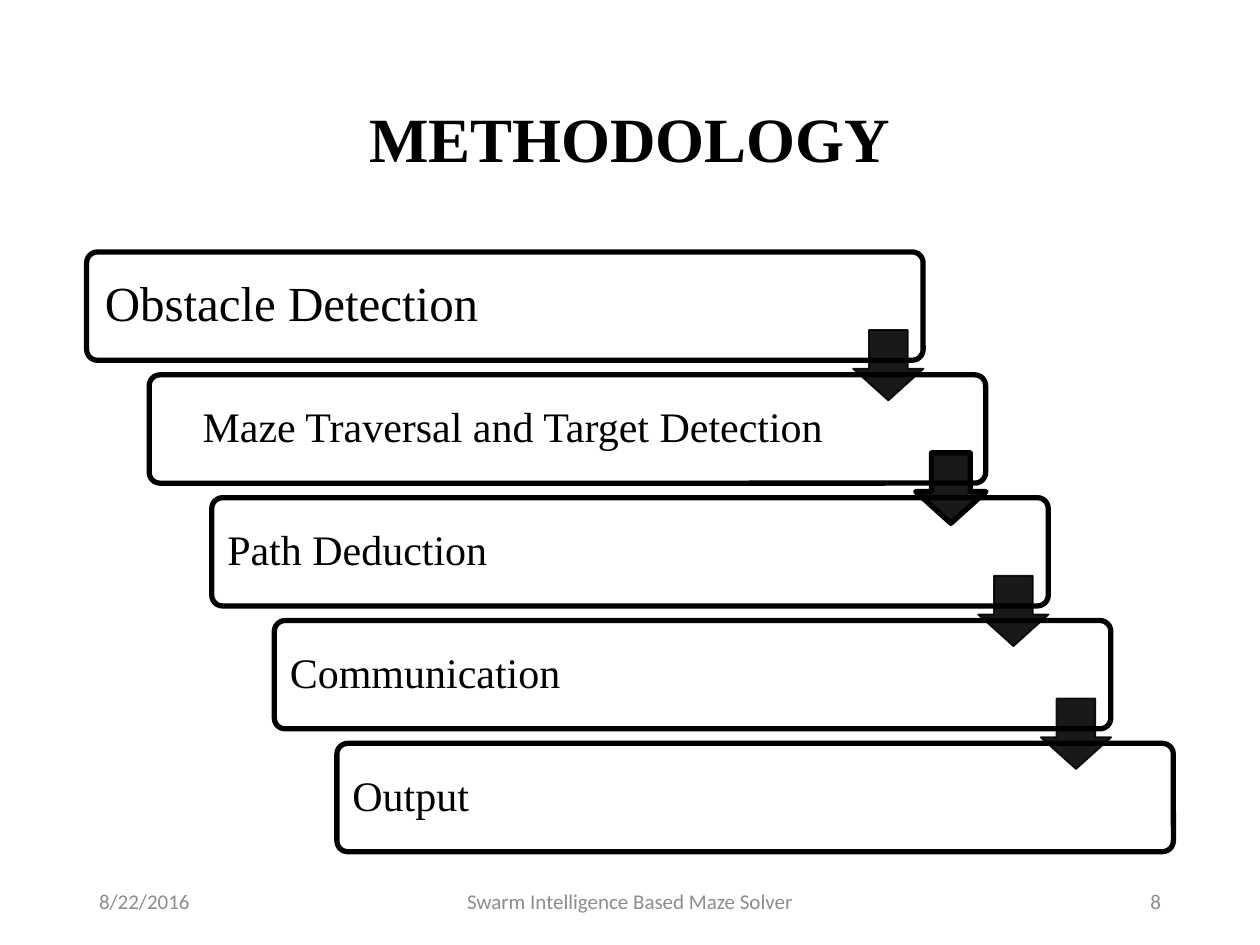
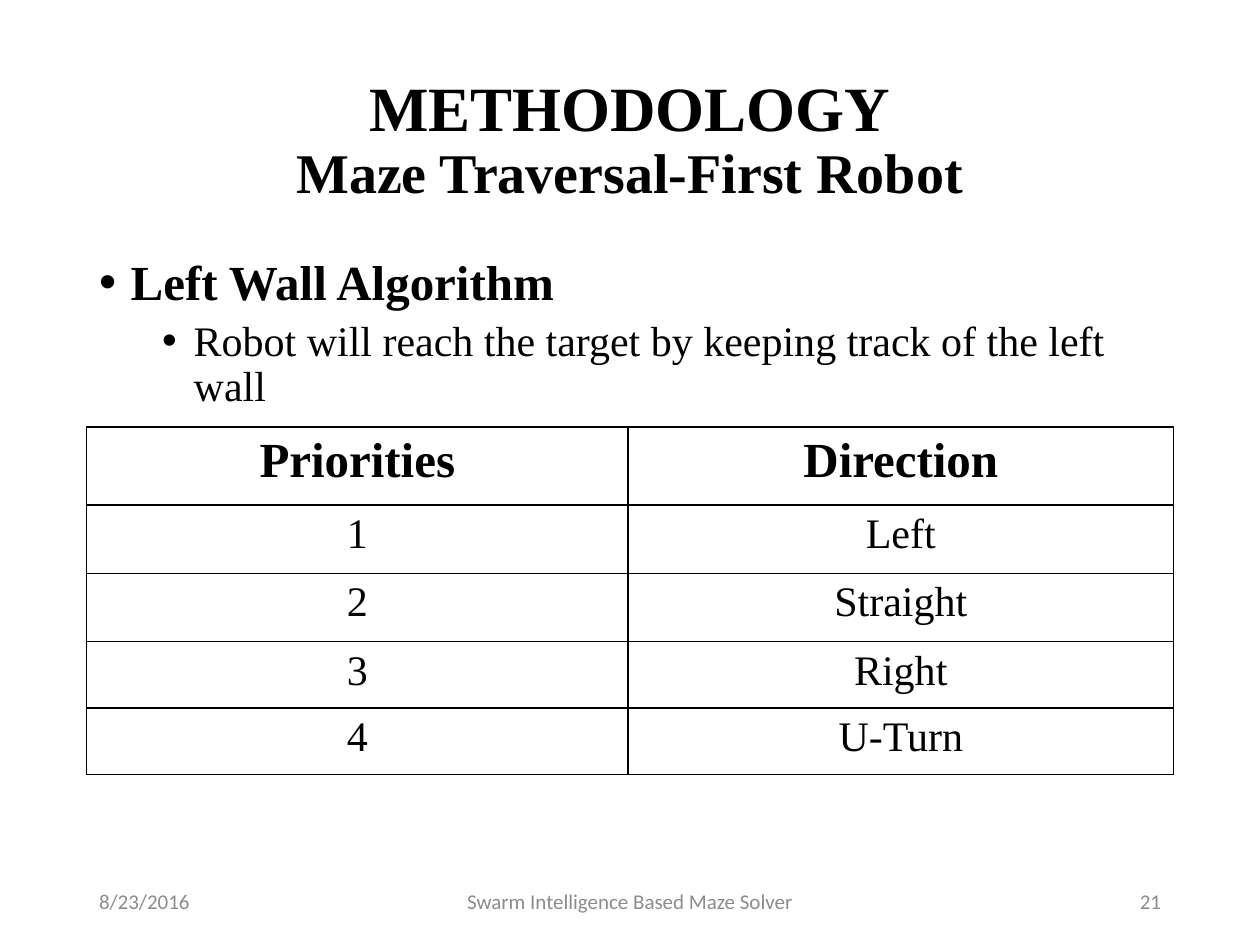
from dataclasses import dataclass

from lxml.etree import SubElement
from pptx import Presentation
from pptx.dml.color import RGBColor
from pptx.enum.shapes import MSO_SHAPE as Preset
from pptx.enum.text import MSO_ANCHOR as Anchor, MSO_AUTO_SIZE as AutoSize, PP_ALIGN as Align
from pptx.oxml.ns import qn
from pptx.util import Pt


@dataclass(frozen=True)
class Theme:
    ink: RGBColor = RGBColor(0x00, 0x00, 0x00)
    paper: RGBColor = RGBColor(0xFF, 0xFF, 0xFF)
    muted: RGBColor = RGBColor(0x8C, 0x8C, 0x8C)
    serif: str = "Times New Roman"
    sans: str = "Calibri"
    title: int = 36
    subtitle: int = 32
    large: int = 28
    normal: int = 24
    small: int = 12
    left: float = 49.5
    width: float = 621
    top: float = 144


THEME = Theme()
TITLE_AND_CONTENT, TITLE_ONLY = 1, 5
FOOTER = "Swarm Intelligence Based Maze Solver"


def apply(target, **values):
    for name, value in values.items():
        setattr(target, name, value)


def place(shape, left, top, width, height):
    apply(shape, left=Pt(left), top=Pt(top), width=Pt(width), height=Pt(height))


def set_alpha(fill_parent, percent):
    color = fill_parent.find(qn("a:solidFill"))[0]
    SubElement(color, qn("a:alpha"), val=str(percent * 1000))


class SlideBuilder:
    def __init__(self, theme):
        self.theme = theme
        self.deck = Presentation()
        apply(self.deck, slide_width=Pt(720), slide_height=Pt(540))
        self.page = None

    def new_page(self, layout, date, number):
        self.page = self.deck.slides.add_slide(self.deck.slide_layouts[layout])
        self.footer(49.5, 162, date, Align.LEFT)
        self.footer(238.5, 243, FOOTER, Align.CENTER)
        self.footer(508.5, 162, number, Align.RIGHT)

    def add_text(self, para, text, size, bold=False, font=None, color=None):
        span = para.add_run()
        span.text = text
        apply(span.font, size=Pt(size), bold=bold, name=font or self.theme.serif)
        span.font.color.rgb = color or self.theme.ink

    def footer(self, left, width, text, align):
        box = self.page.shapes.add_textbox(Pt(left), Pt(500.5), Pt(width), Pt(28.75))
        apply(box.text_frame, word_wrap=True, vertical_anchor=Anchor.MIDDLE)
        para = box.text_frame.paragraphs[0]
        para.alignment = align
        self.add_text(para, text, self.theme.small, font=self.theme.sans, color=self.theme.muted)

    def title(self, text, subtitle=None):
        box = self.page.shapes.title
        place(box, self.theme.left, 28.75, self.theme.width, 104.4)
        apply(box.text_frame, vertical_anchor=Anchor.MIDDLE, auto_size=AutoSize.NONE)
        para = box.text_frame.paragraphs[0]
        apply(para, alignment=Align.CENTER, line_spacing=0.9)
        self.add_text(para, text, self.theme.title, True)
        if subtitle:
            para.add_line_break()
            self.add_text(para, subtitle, self.theme.subtitle, True)

    def bullets(self, items):
        """Each item is (text, level); top-level items are large and bold."""
        box = self.page.placeholders[1]
        place(box, self.theme.left, self.theme.top, self.theme.width, 342.6)
        frame = box.text_frame
        frame.auto_size = AutoSize.NONE
        for index, (text, level) in enumerate(items):
            para = frame.add_paragraph() if index else frame.paragraphs[0]
            apply(para, level=level, line_spacing=0.9, space_before=Pt(5 if level else 10))
            self.add_text(para, text, self.theme.normal if level else self.theme.large, not level)
            props = para._p.get_or_add_pPr()
            props.set("marL", str(Pt(18 + 36 * level)))
            props.set("indent", str(Pt(-18)))
            SubElement(props, qn("a:buFont"), typeface="Arial")
            SubElement(props, qn("a:buChar"), char="•")

    def shape(self, preset, left, top, width, height, fill, line_width, adjustments):
        shape = self.page.shapes.add_shape(preset, Pt(left), Pt(top), Pt(width), Pt(height))
        shape.shadow.inherit = False
        shape.fill.solid()
        shape.fill.fore_color.rgb = fill
        shape.line.color.rgb = self.theme.ink
        shape.line.width = Pt(line_width)
        for index, value in enumerate(adjustments):
            shape.adjustments[index] = value
        return shape

    def step(self, left, top, text, size, align, inset):
        box = self.shape(Preset.ROUNDED_RECTANGLE, left, top, 478, 61.9,
                         self.theme.paper, 3, [0.1])
        right = 91 if align == Align.RIGHT else inset
        apply(box.text_frame, word_wrap=True, vertical_anchor=Anchor.MIDDLE,
              margin_left=Pt(inset), margin_right=Pt(right),
              margin_top=Pt(inset), margin_bottom=Pt(inset))
        para = box.text_frame.paragraphs[0]
        apply(para, alignment=align, line_spacing=0.9)
        self.add_text(para, text, size)

    def arrow(self, left, top, outlined):
        arrow = self.shape(Preset.DOWN_ARROW, left, top, 40.25, 40.25,
                           self.theme.ink, 3 if outlined else 1, [0.55, 0.45])
        props = arrow._element.spPr
        set_alpha(props, 90)
        if not outlined:
            set_alpha(props.find(qn("a:ln")), 90)

    def table(self, top, rows, widths, heights):
        frame = self.page.shapes.add_table(len(rows), len(widths), Pt(self.theme.left), Pt(top),
                                           Pt(sum(widths)), Pt(sum(heights)))
        table = frame.table
        apply(table, first_row=False, horz_banding=False)
        for column, width in zip(table.columns, widths):
            column.width = Pt(width)
        for index, (row, height, texts) in enumerate(zip(table.rows, heights, rows)):
            row.height = Pt(height)
            size = self.theme.normal if index else self.theme.large
            for cell, text in zip(row.cells, texts):
                self.cell(cell, text, size, index == 0)

    def cell(self, cell, text, size, bold):
        para = cell.text_frame.paragraphs[0]
        para.alignment = Align.CENTER
        self.add_text(para, text, size, bold)
        # Borders come before the fill in the cell properties
        props = cell._tc.get_or_add_tcPr()
        for side in "LRTB":
            line = SubElement(props, qn(f"a:ln{side}"), w=str(Pt(1)))
            fill = SubElement(line, qn("a:solidFill"))
            SubElement(fill, qn("a:srgbClr"), val=str(self.theme.ink))
        cell.fill.solid()
        cell.fill.fore_color.rgb = self.theme.paper


def methodology_steps(builder):
    builder.new_page(TITLE_ONLY, "8/22/2016", "8")
    builder.title("METHODOLOGY")
    # Staircase of steps
    shift, drop = 35.75, 70.2
    large, normal = builder.theme.large, builder.theme.normal
    steps = [
        ("Obstacle Detection", large, Align.LEFT, 8.6),
        ("Maze Traversal and Target Detection", normal, Align.RIGHT, 7.2),
        ("Path Deduction", normal, Align.LEFT, 7.2),
        ("Communication", normal, Align.LEFT, 7.2),
        ("Output", normal, Align.LEFT, 7.2),
    ]
    for index, step in enumerate(steps):
        builder.step(builder.theme.left + index * shift, builder.theme.top + index * drop, *step)
    # Arrows leading to the next step, the second with a heavy outline
    for index in range(len(steps) - 1):
        builder.arrow(487.5 + index * shift, 188.6 + index * drop, outlined=index == 1)


def maze_traversal(builder):
    builder.new_page(TITLE_AND_CONTENT, "8/23/2016", "21")
    builder.title("METHODOLOGY", "Maze Traversal-First Robot")
    builder.bullets([
        ("Left Wall Algorithm", 0),
        ("Robot will reach the target by keeping track of the left wall", 1),
    ])
    # Priority of each turn
    directions = ["Left", "Straight", "Right", "U-Turn"]
    rows = [("Priorities", "Direction")]
    rows += [(str(rank), direction) for rank, direction in enumerate(directions, 1)]
    builder.table(244, rows, [309.5, 311.5], [44.6, 39, 39, 38, 38])


def main():
    builder = SlideBuilder(THEME)
    methodology_steps(builder)
    maze_traversal(builder)
    builder.deck.save("out.pptx")


if __name__ == "__main__":
    main()
